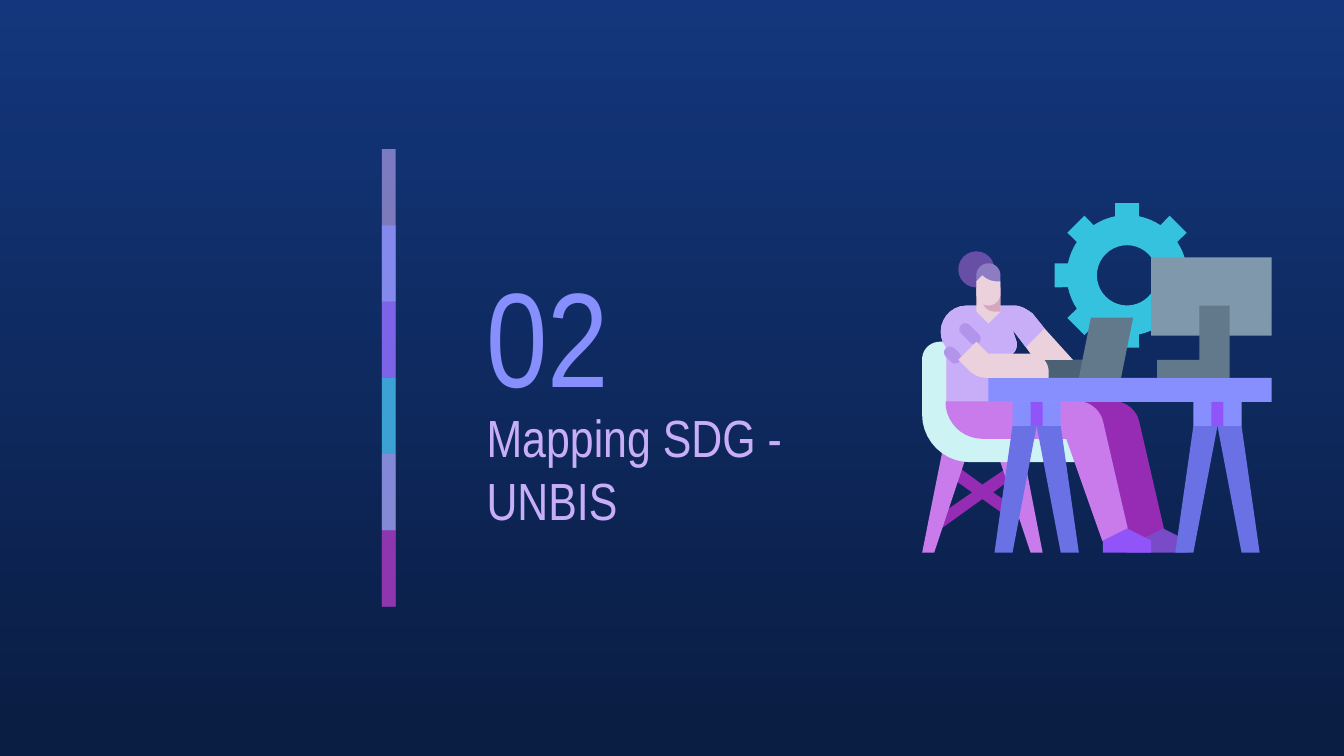
from dataclasses import dataclass
from math import atan2, cos, hypot, pi, sin

from lxml.etree import SubElement
from pptx import Presentation
from pptx.dml.color import RGBColor
from pptx.enum.shapes import MSO_SHAPE as Shape
from pptx.enum.text import MSO_ANCHOR as Anchor, MSO_AUTO_SIZE as AutoSize, PP_ALIGN as Align
from pptx.oxml.ns import qn
from pptx.util import Pt


@dataclass(frozen=True)
class Theme:
    """Colours, font and type sizes of the slide."""
    font: str = "Arial Narrow"
    number_size: int = 72
    title_size: int = 28
    sky: str = "13367C"
    night: str = "0A1D42"
    blue: str = "878FFF"
    trestle: str = "6971E5"
    lilac: str = "C8AEF8"
    patch: str = "B394EB"
    violet: str = "9154F8"
    shoe: str = "794BC8"
    pink: str = "CA7BEB"
    plum: str = "972CB4"
    cyan: str = "35C2DF"
    seat: str = "CEF3F5"
    skin: str = "EAD1DC"
    shade: str = "D5A6BD"
    bun: str = "674EA7"
    hair: str = "8E7CC3"
    keyboard: str = "4B6275"
    metal: str = "62798C"
    screen: str = "8098AB"


T = Theme()


def paint(shape, colour, alpha=None):
    """Give a shape a flat fill, with no line or shadow."""
    shape.shadow.inherit = False
    shape.fill.solid()
    shape.fill.fore_color.rgb = RGBColor.from_string(colour)
    shape.line.fill.background()
    if alpha is not None:
        clr = shape._element.spPr.find(qn("a:solidFill"))[0]
        SubElement(clr, qn("a:alpha")).set("val", str(alpha * 1000))
    return shape


def flatten(steps, n=10):
    """Turn points and six-number Bézier steps into a list of points."""
    pts = []
    for step in steps:
        if len(step) == 2:
            pts.append(step)
            continue
        p0, p1, p2, p3 = pts[-1], step[:2], step[2:4], step[4:]
        for t in (i / n for i in range(1, n + 1)):
            u = 1 - t
            pts.append(tuple(u**3 * a + 3 * u * u * t * b + 3 * u * t * t * c + t**3 * d
                             for a, b, c, d in zip(p0, p1, p2, p3)))
    return pts


class Canvas:
    """A square group of shapes drawn on a grid of 58 units."""

    def __init__(self, s, left, top, size):
        self.shapes = s.shapes.add_group_shape().shapes
        self.left, self.top, self.unit = left, top, size / 58

    def at(self, x, y):
        """Return the slide position of a grid point."""
        return Pt(self.left + x * self.unit), Pt(self.top + y * self.unit)

    def preset(self, kind, colour, l, t, r, b):
        """Draw a preset shape between two grid corners."""
        (x, y), (x2, y2) = self.at(l, t), self.at(r, b)
        return paint(self.shapes.add_shape(kind, x, y, x2 - x, y2 - y), colour)

    def block(self, colour, *box):
        """Draw a rectangle between two grid corners."""
        return self.preset(Shape.RECTANGLE, colour, *box)

    def outline(self, colour, *contours):
        """Draw one freeform from closed contours."""
        builder = None
        for steps in contours:
            pts = [self.at(*p) for p in flatten(steps)]
            if builder is None:
                builder = self.shapes.build_freeform(*pts[0], scale=1.0)
            else:
                builder.move_to(*pts[0])
            builder.add_line_segments(pts[1:], close=True)
        return paint(builder.convert_to_shape(), colour)


def draw_gear(c, cx, cy, tip=12, root=10, half=2, hole=5):
    """Draw an eight-toothed gear round a centre."""
    def polar(r, a):
        return cx + r * cos(a), cy + r * sin(a)

    spread, tip_spread = atan2(half, root), atan2(half, tip)
    rim = []
    for a in (k * pi / 4 for k in range(8)):
        rim += [polar(root, a - spread), polar(hypot(tip, half), a - tip_spread),
                polar(hypot(tip, half), a + tip_spread)]
        gap = pi / 4 - 2 * spread
        rim += [polar(root, a + spread + gap * i / 4) for i in range(4)]
    c.outline(T.cyan, [polar(hole, k * pi / 20) for k in range(40)], rim)


def draw_chair(c):
    """Draw the chair with its crossed struts."""
    c.outline(T.plum, [(5.6, 43.5), (4.5, 45.3), (8.3, 48), (1.8, 52.5), (2.9, 54.2), (10, 49.1),
                       (13.8, 51.8), (15, 50.2), (11.8, 48), (15.4, 45.3), (14.3, 43.8), (10, 46.7)])
    c.outline(T.pink, [(12, 40), (18, 58), (20, 58), (16.5, 40)])
    c.outline(T.pink, [(3.6, 40), (0, 58), (2, 58), (8, 40)])
    c.outline(T.seat, [(3.1, 23), (1.3, 23, 0, 24.3, 0, 26), (0, 35), (0, 39.5, 3.6, 43, 8, 43),
                       (27, 43), (27, 38), (10, 38), (7.4, 38, 5, 35.8, 5, 33), (5, 23)])


def draw_leg(c, colour, shoe_colour, dx, heel, toe):
    """Draw a bent leg and its shoe, shifted by dx."""
    leg = c.outline(colour, [(4 + dx, 33), (4 + dx, 36.3, 6.7 + dx, 39, 10 + dx, 39), (24 + dx, 39),
                             (heel, 56), (30 + dx, 56), (34 + dx, 54), (29.9 + dx, 36.2),
                             (29.4 + dx, 34.3, 27.7 + dx, 33, 25.9 + dx, 33)])
    leg.line.color.rgb = RGBColor.from_string(colour)
    leg.line.width = Pt(0.75)
    c.outline(shoe_colour, [(34 + dx, 54), (30 + dx, 56), (heel, 56), (heel, 58), (toe, 58), (toe, 56)])


def draw_torso(c):
    """Draw the far arm and the shirt over it."""
    for colour, hand in ((T.skin, [(18.7, 26), (25, 26)]), (T.lilac, [])):
        c.outline(colour, [(7.4, 17), (3.8, 17, 1.8, 21.2, 4, 24), (4, 33), (15, 33), (15, 25),
                           (15.6, 24.6, 15.9, 23.5, 15.6, 22.8), (15, 21), (17.2, 23.9), *hand,
                           (20.3, 20.8), (18.3, 18.3), (17.4, 17.7, 16.5, 17, 15.2, 17)])


def draw_near_arm(c):
    """Draw the sleeve folds, the neck and the near forearm."""
    for x, y, length in ((5.05, 25.2, 3.2), (7.95, 21.7, 4.2)):
        fold = c.preset(Shape.ROUNDED_RECTANGLE, T.patch, x - length / 2, y - 1, x + length / 2, y + 1)
        fold.adjustments[0] = 0.5
        fold.rotation = 45
    c.outline(T.skin, [(9, 14), (9, 18), (11, 20), (13, 18), (13, 14)])
    c.outline(T.skin, [(9, 23), (6, 26), (7.8, 27.8), (8.7, 28.6, 9.6, 29, 10.7, 29), (21, 29),
                       (21, 28.1), (21, 26.3, 19.7, 25, 18, 25), (11, 25)])


def draw_head(c):
    """Draw the neck shadow, the hair and the plain face."""
    c.outline(T.shade, [(10, 14), (10, 16), (10, 17.1, 10.9, 18, 12, 18), (13, 18), (13, 14)])
    c.preset(Shape.OVAL, T.bun, 6, 8, 12, 14)
    c.outline(T.hair, [(11, 10), (9.9, 10, 9, 10.9, 9, 12), (9, 14), (13, 14), (13, 12),
                       (13, 10.9, 12.1, 10, 11, 10)])
    c.outline(T.skin, [(10, 12), (9, 13), (9, 15), (9, 16.1, 9.9, 17, 11, 17),
                       (12.1, 17, 13, 16.1, 13, 15), (13, 13), (12.4, 13), (11.5, 13, 10.6, 12.6, 10, 12)])


def draw_trestle(c, x):
    """Draw a table trestle centred on x."""
    c.block(T.blue, x - 4, 33, x + 4, 37)
    c.block(T.violet, x - 1, 33, x + 1, 37)
    for side in (-1, 1):
        c.outline(T.trestle, [(x + side * dx, y) for dx, y in ((4, 37), (7, 58), (4, 58), (0, 37))])


def draw_workplace(s, left, top, size):
    """Draw a person working at a desk, back to front."""
    c = Canvas(s, left, top, size)
    draw_gear(c, 34, 12)
    c.block(T.keyboard, 20, 26, 27, 29)
    draw_chair(c)
    draw_leg(c, T.plum, T.shoe, 6, 34, 44)
    draw_torso(c)
    c.block(T.blue, 11, 29, 58, 33)
    draw_near_arm(c)
    c.outline(T.metal, [(28, 19), (26, 29), (33, 29), (35, 19)])
    draw_leg(c, T.pink, T.violet, 0, 30, 38)
    c.block(T.screen, 38, 9, 58, 22)
    c.outline(T.metal, [(46, 17), (46, 26), (39, 26), (39, 29), (51, 29), (51, 17)])
    for x in (49, 19):
        draw_trestle(c, x)
    draw_head(c)


def draw_stripe(s, left, top, width, height):
    """Draw the overlapping translucent bars of the vertical stripe."""
    bars = ((T.lilac, 59), (T.blue, 74), (T.violet, 53), (T.cyan, 76), (T.pink, 56), (T.plum, 74))
    shapes = s.shapes.add_group_shape().shapes
    step = height / len(bars)
    for i, (colour, alpha) in enumerate(bars):
        tall = step if i == len(bars) - 1 else 2 * step
        bar = shapes.add_shape(Shape.RECTANGLE, Pt(left), Pt(top + i * step), Pt(width), Pt(tall))
        paint(bar, colour, alpha)


def write_heading(sp, text, size, colour, left, top, width, height):
    """Place a heading shape and write its single run."""
    sp.left, sp.top, sp.width, sp.height = Pt(left), Pt(top), Pt(width), Pt(height)
    tf = sp.text_frame
    tf.word_wrap, tf.auto_size, tf.vertical_anchor = True, AutoSize.NONE, Anchor.MIDDLE
    tf.margin_left = tf.margin_right = tf.margin_top = tf.margin_bottom = Pt(7.2)
    p = tf.paragraphs[0]
    p.alignment = Align.LEFT
    r = p.add_run()
    r.text = text
    r.font.name, r.font.size = T.font, Pt(size)
    r.font.color.rgb = RGBColor.from_string(colour)


def build_section(prs):
    """Build the section slide."""
    s = prs.slides.add_slide(prs.slide_layouts[5])
    fill = s.background.fill
    fill.gradient()
    fill.gradient_angle = 270
    for stop, colour in zip(fill.gradient_stops, (T.sky, T.night)):
        stop.color.rgb = RGBColor.from_string(colour)
    draw_stripe(s, 204.6, 79.9, 7.4, 245.2)
    number = s.shapes.add_textbox(0, 0, 0, 0)
    write_heading(number, "02", T.number_size, T.blue, 253.5, 130.3, 126, 97.2)
    write_heading(s.shapes.title, "Mapping SDG - UNBIS", T.title_size, T.lilac, 253.5, 226.8, 240.5, 48.2)
    draw_workplace(s, 494, 108.8, 187.3)


def main():
    """Make the presentation and save it."""
    prs = Presentation()
    prs.slide_width, prs.slide_height = Pt(720), Pt(405)
    build_section(prs)
    prs.save("out.pptx")


if __name__ == "__main__":
    main()
